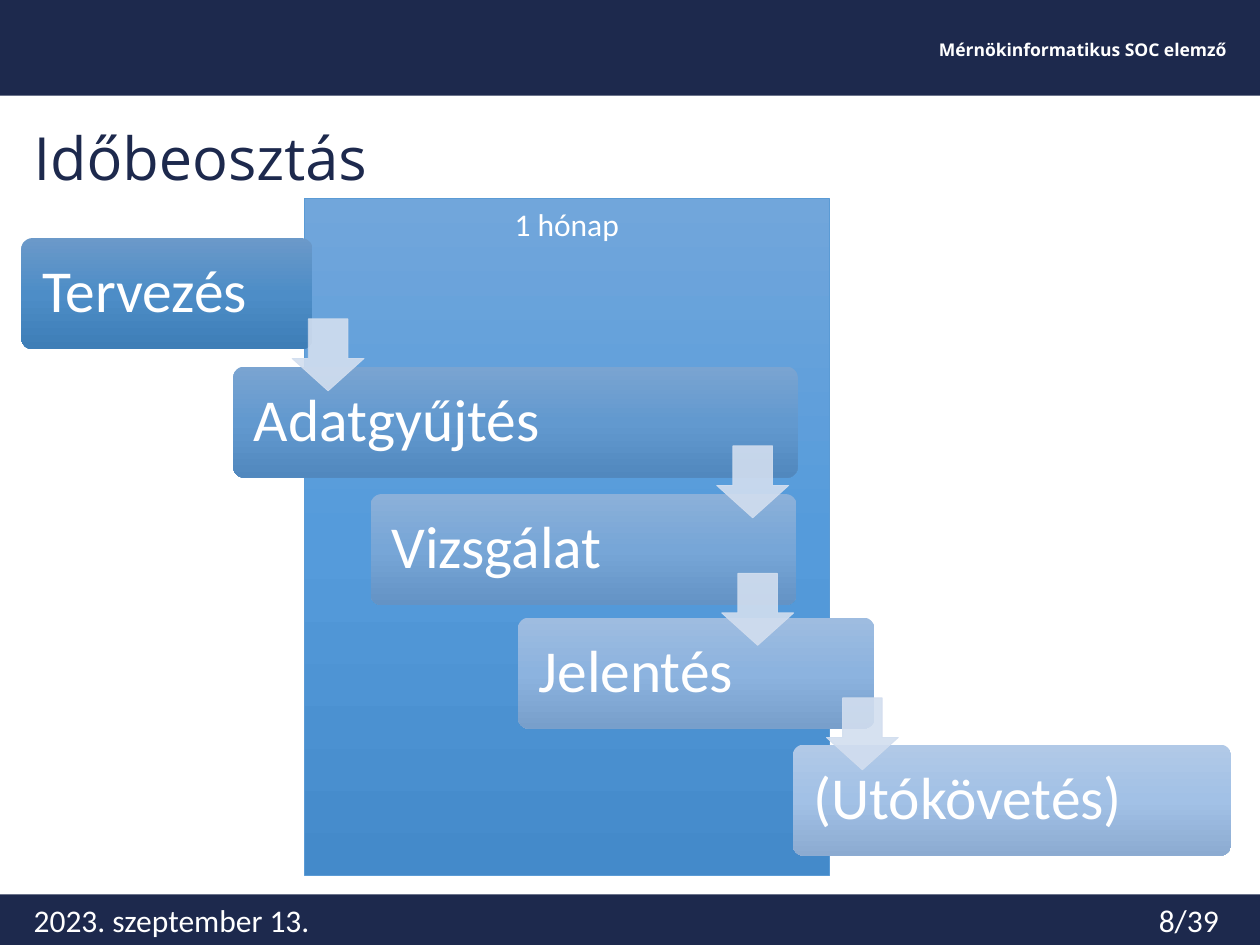
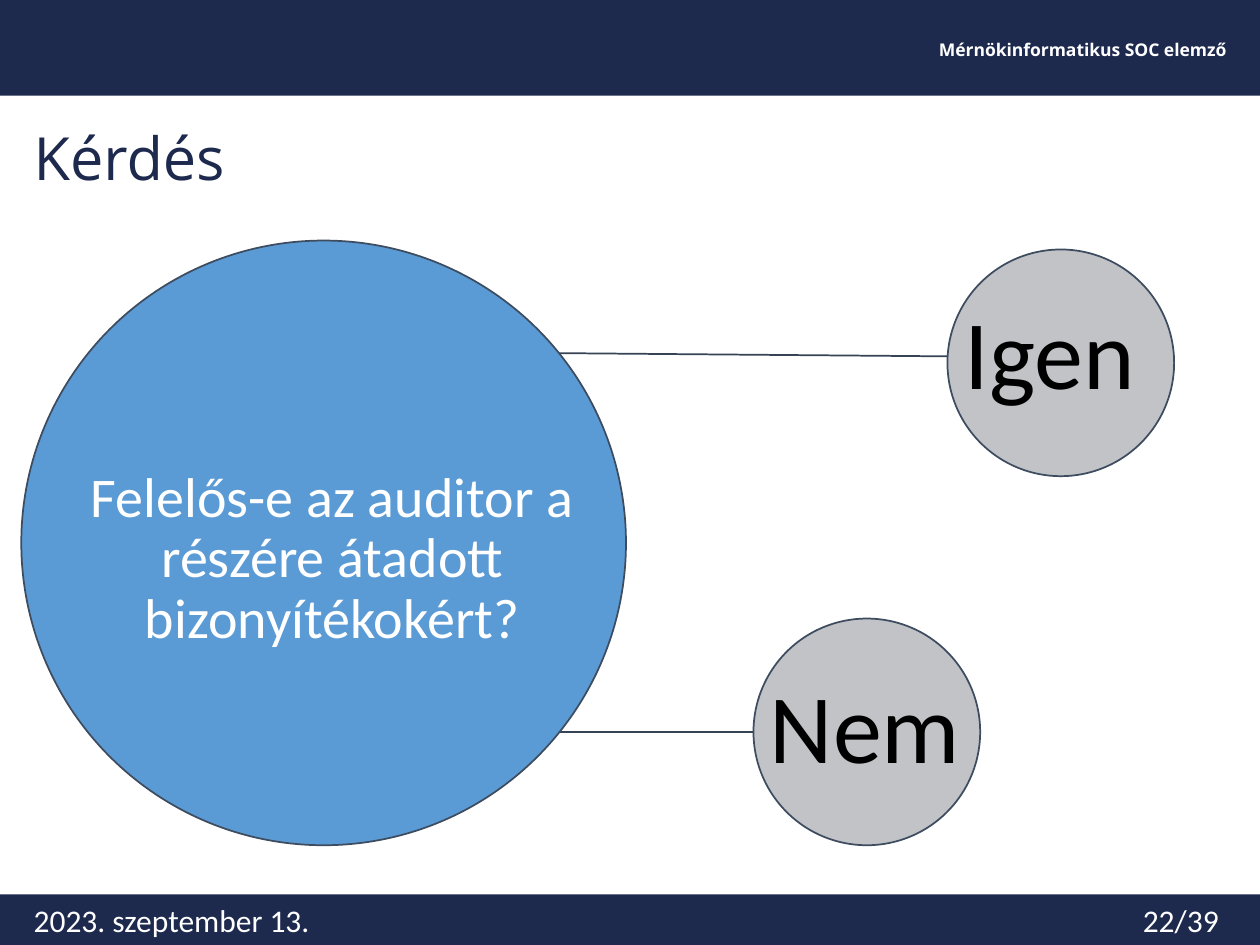
"""Build two audit training slides: the schedule cascade and a yes/no question."""
import copy
from dataclasses import dataclass

import pptx
import pptx.dml.color
import pptx.enum.shapes
import pptx.enum.text
import pptx.oxml.ns
import pptx.util
from lxml import etree

Cm = pptx.util.Cm
Pt = pptx.util.Pt
Shape = pptx.enum.shapes.MSO_SHAPE
Align = pptx.enum.text.PP_ALIGN
Anchor = pptx.enum.text.MSO_ANCHOR
qn = pptx.oxml.ns.qn


@dataclass(frozen=True)
class Theme:
    navy: str = "1D294D"
    white: str = "FFFFFF"
    black: str = "000000"
    blue: str = "5B9BD5"
    grey: str = "C1C3C7"
    arrow: str = "D2DEEF"
    outline: str = "3E4C60"
    link: str = "364355"
    panel: tuple = ("71A6DB", "559BDB", "448ACA")
    heading_font: str = "Open Sans"
    body_font: str = "Calibri"
    header_size: int = 10
    footer_size: int = 18
    title_size: int = 34
    step_size: int = 34
    question_size: int = 32
    answer_size: int = 56


THEME = Theme()
PAGE_WIDTH, PAGE_HEIGHT = 25.4, 19.05
PAGE_COUNT = 39
INSETS = (0.25, 0.13, 0.25, 0.13)

STEP_HEIGHT = 2.24
STEPS = [
    ("Tervezés", 0.43, 4.8, 5.87, ("6B99C9", "4D8DC7", "3E7EB7")),
    ("Adatgyűjtés", 4.7, 7.39, 11.38, ("7AA4D1", "6299CF", "5188BE")),
    ("Vizsgálat", 7.47, 9.96, 8.59, ("8BB0D9", "77A6D7", "6493C5")),
    ("Jelentés", 10.44, 12.45, 7.19, ("9EBCE0", "8CB3DF", "789FCB")),
    ("(Utókövetés)", 15.98, 15.01, 8.84, ("B1C9E7", "A2C1E6", "8CABD1")),
]
ARROW_SIZE = 1.45
ARROWS = [(5.89, 6.43), (14.45, 8.99), (14.55, 11.56), (16.66, 14.07)]


def rgb(colour):
    return pptx.dml.color.RGBColor.from_string(colour)


class SlideBuilder:
    """Draw styled elements on the current slide."""

    def __init__(self, theme):
        self.theme = theme
        self.deck = pptx.Presentation()
        self.deck.slide_width = Cm(PAGE_WIDTH)
        self.deck.slide_height = Cm(PAGE_HEIGHT)
        self.page = None

    def start(self, title, number):
        theme = self.theme
        self.page = self.deck.slides.add_slide(self.deck.slide_layouts[6])
        for top, height in ((0, 1.93), (18.03, 1.02)):
            self.shape(Shape.RECTANGLE, 0, top, PAGE_WIDTH, height, theme.navy)
        self.text("Mérnökinformatikus SOC elemző", 13.03, 0.28, 11.94, 1.42,
                  theme.header_size, font=theme.heading_font, bold=True,
                  align=Align.RIGHT, anchor=Anchor.MIDDLE)
        self.text("2023. szeptember 13.", 0.43, 18.03, 12.14, 1.02, theme.footer_size)
        self.text(title, 0.43, 2.34, 24.38, 1.68, theme.title_size, theme.navy,
                  font=theme.heading_font, anchor=Anchor.BOTTOM, spacing=0.9)
        self.text(f"{number}/{PAGE_COUNT}", 19.1, 18.03, 5.72, 1.02,
                  theme.footer_size, align=Align.RIGHT)

    def text(self, words, left, top, width, height, size, colour=None, **style):
        box = self.page.shapes.add_textbox(Cm(left), Cm(top), Cm(width), Cm(height))
        self.fill_text(box, words, size, colour, **style)

    def fill_text(self, box, words, size, colour=None, font=None, bold=False,
                  align=Align.LEFT, anchor=Anchor.TOP, spacing=1.0, insets=INSETS):
        frame = box.text_frame
        frame.word_wrap = True
        frame.vertical_anchor = anchor
        (frame.margin_left, frame.margin_top,
         frame.margin_right, frame.margin_bottom) = map(Cm, insets)
        para = frame.paragraphs[0]
        para.text = words
        para.alignment = align
        para.line_spacing = spacing
        para.font.name = font or self.theme.body_font
        para.font.size = Pt(size)
        para.font.bold = bold
        para.font.color.rgb = rgb(colour or self.theme.white)

    def shape(self, kind, left, top, width, height, fill, line=None,
              line_width=1.0, adjust=()):
        shape = self.page.shapes.add_shape(kind, Cm(left), Cm(top), Cm(width), Cm(height))
        shape.shadow.inherit = False
        for index, value in enumerate(adjust):
            shape.adjustments[index] = value
        if isinstance(fill, tuple):
            self.gradient(shape, fill)
        else:
            shape.fill.solid()
            shape.fill.fore_color.rgb = rgb(fill)
        if line:
            shape.line.color.rgb = rgb(line)
            shape.line.width = Pt(line_width)
        else:
            shape.line.fill.background()
        return shape

    def gradient(self, shape, colours):
        shape.fill.gradient()
        shape.fill.gradient_angle = 270
        stop_list = next(shape._element.iter(qn("a:gsLst")))
        stop_list.insert(1, copy.deepcopy(stop_list[0]))
        for index, (stop, colour) in enumerate(zip(shape.fill.gradient_stops, colours)):
            stop.position = index / 2
            stop.color.rgb = rgb(colour)

    def arrow(self, left, top):
        colour = self.theme.arrow
        arrow = self.shape(Shape.DOWN_ARROW, left, top, ARROW_SIZE, ARROW_SIZE,
                           colour, colour, 0.5, (0.55, 0.45))
        for tint in list(arrow._element.spPr.iter(qn("a:srgbClr"))):
            etree.SubElement(tint, qn("a:alpha")).set("val", "90000")

    def step(self, words, left, top, width, colours):
        self.shape(Shape.ROUNDED_RECTANGLE, left, top, width, STEP_HEIGHT,
                   colours, adjust=(0.1,))
        self.text(words, left + 0.06, top + 0.06, width * 0.84, STEP_HEIGHT - 0.12,
                  self.theme.step_size, anchor=Anchor.MIDDLE, spacing=0.9,
                  insets=(0.36,) * 4)

    def circle(self, left, top, diameter, fill):
        self.shape(Shape.OVAL, left, top, diameter, diameter, fill, self.theme.outline)

    def answer(self, words, left, top, label_left, label_top, label_width):
        diameter = 4.57
        self.circle(left, top, diameter, self.theme.grey)
        self.text(words, label_left, label_top, label_width, diameter,
                  self.theme.answer_size, self.theme.black, anchor=Anchor.MIDDLE,
                  spacing=0.9, insets=(0.58, 0, 0.58, 0))

    def link(self, *ends):
        line = self.page.shapes.add_connector(
            pptx.enum.shapes.MSO_CONNECTOR.STRAIGHT, *map(Cm, ends))
        line.line.color.rgb = rgb(self.theme.link)
        line.line.width = Pt(1)
        etree.SubElement(line._element.spPr, qn("a:effectLst"))


def build_schedule(builder):
    theme = builder.theme
    builder.start("Időbeosztás", 8)
    month = builder.shape(Shape.RECTANGLE, 6.13, 4.01, 10.59, 13.64,
                          theme.panel, theme.blue, 0.5)
    builder.fill_text(month, "1 hónap", theme.footer_size, align=Align.CENTER)
    for step in STEPS:
        builder.step(*step)
    for arrow in ARROWS:
        builder.arrow(*arrow)


def build_question(builder):
    theme = builder.theme
    builder.start("Kérdés", 22)
    builder.link(6.53, 14.76, 17.48, 14.76)
    builder.link(4.11, 7.06, 19.89, 7.19)
    builder.circle(0.43, 4.85, 12.19, theme.blue)
    builder.text("Felelős-e az auditor a részére átadott bizonyítékokért?",
                 1.52, 7.42, 10.36, 7.72, theme.question_size, align=Align.CENTER,
                 anchor=Anchor.MIDDLE, spacing=0.9, insets=(0,) * 4)
    builder.answer("Igen", 19.1, 5.03, 18.87, 4.93, 4.62)
    builder.answer("Nem", 15.19, 12.47, 14.94, 12.47, 5.05)


def main():
    builder = SlideBuilder(THEME)
    build_schedule(builder)
    build_question(builder)
    builder.deck.save("out.pptx")


if __name__ == "__main__":
    main()
